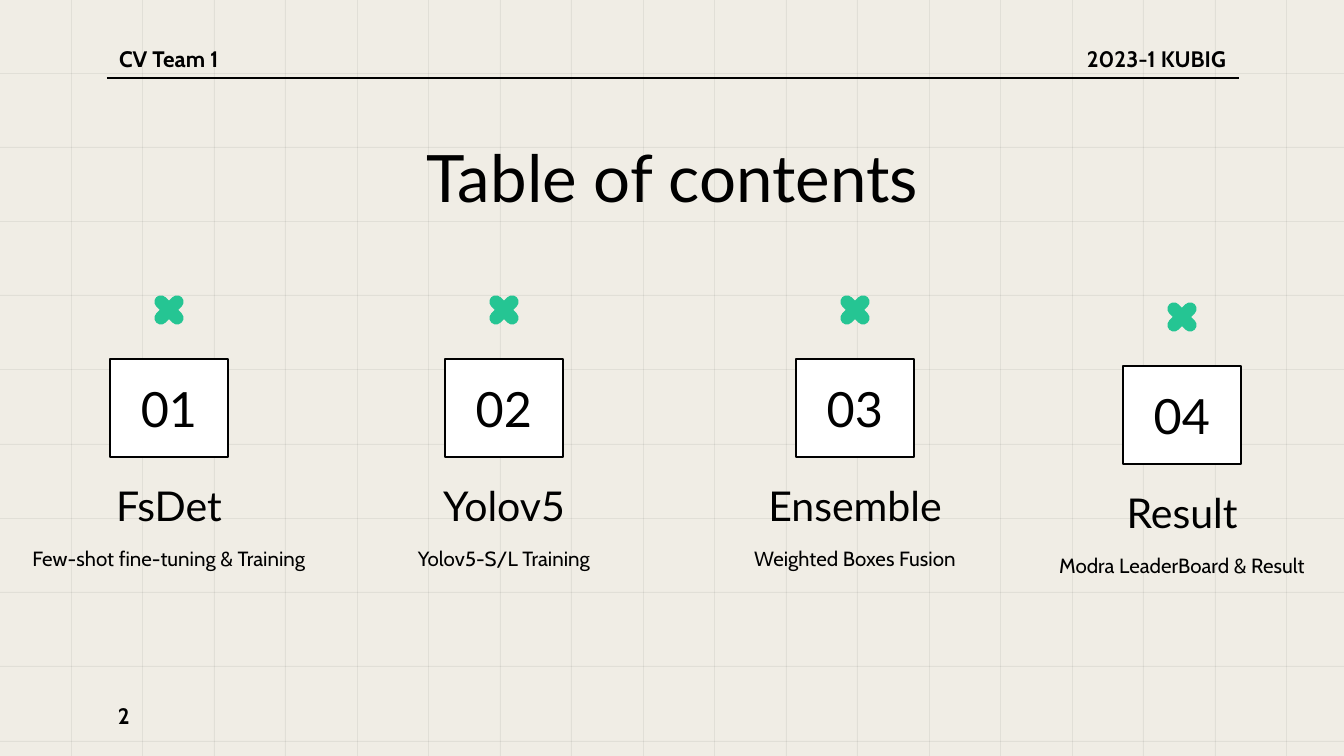
import pptx
import pptx.util
import pptx.dml.color
import pptx.enum.shapes
import pptx.enum.text
from lxml import etree

EMU_PER_PX = 9144000 / 1344
WIDTH, HEIGHT = 1344, 756
INSET = 13

BLACK = pptx.dml.color.RGBColor(0x00, 0x00, 0x00)
WHITE = pptx.dml.color.RGBColor(0xFF, 0xFF, 0xFF)
PAPER = pptx.dml.color.RGBColor(0xF0, 0xED, 0xE5)
GREEN = pptx.dml.color.RGBColor(0x25, 0xC5, 0x93)

RECTANGLE = pptx.enum.shapes.MSO_SHAPE.RECTANGLE
ROUNDED = pptx.enum.shapes.MSO_SHAPE.ROUNDED_RECTANGLE
ANCHOR = pptx.enum.text.MSO_ANCHOR
ALIGN = pptx.enum.text.PP_ALIGN

SECTIONS = [
    (169, 0, "01", "FsDet", "Few-shot fine-tuning & Training"),
    (504, 0, "02", "Yolov5", "Yolov5-S/L Training"),
    (855, 0, "03", "Ensemble", "Weighted Boxes Fusion"),
    (1182, 7, "04", "Result", "Modra LeaderBoard & Result"),
]


def px(length):
    return pptx.util.Emu(round(length * EMU_PER_PX))


def write(shape, text, font="Lato", size=12, bold=False,
          align=ALIGN.CENTER, anchor=ANCHOR.TOP):
    frame = shape.text_frame
    frame.word_wrap = True
    frame.vertical_anchor = anchor
    frame.margin_left = frame.margin_right = px(INSET)
    frame.margin_top = frame.margin_bottom = px(INSET)
    paragraph = frame.paragraphs[0]
    paragraph.alignment = align
    run = paragraph.add_run()
    run.text = text
    run.font.name = font
    run.font.size = pptx.util.Pt(size)
    run.font.bold = bold
    run.font.color.rgb = BLACK


def add_text(slide, left, top, width, height, text, **text_format):
    box = slide.shapes.add_textbox(px(left), px(top), px(width), px(height))
    write(box, text, **text_format)


def add_filled(slide, kind, left, top, width, height, color):
    shape = slide.shapes.add_shape(kind, px(left), px(top), px(width), px(height))
    shape.shadow.inherit = False
    shape.fill.solid()
    shape.fill.fore_color.rgb = color
    shape.line.fill.background()
    return shape


def add_grid_line(slide, left, top, width, height):
    line = add_filled(slide, RECTANGLE, left, top, width, height, BLACK)
    color = line.fill._xPr.find(".//" + pptx.oxml.ns.qn("a:srgbClr"))
    etree.SubElement(color, pptx.oxml.ns.qn("a:alpha"), val="6000")


def add_grid(slide):
    for column in range(18):
        add_grid_line(slide, 71 + column * 143 // 2, -7, 1, 770)
    for row in range(10):
        add_grid_line(slide, -13, 73 + row * 668 // 9, 1370, 1)


def add_header_rule(slide):
    rule = slide.shapes.add_connector(
        pptx.enum.shapes.MSO_CONNECTOR.STRAIGHT, px(107), px(78), px(1239), px(78))
    rule.line.color.rgb = BLACK
    rule.line.width = pptx.util.Pt(0.75)
    etree.SubElement(rule._element.spPr, pptx.oxml.ns.qn("a:effectLst"))


def add_cross(slide, center, middle):
    for width, height in ((13, 36), (36, 13)):
        bar = add_filled(slide, ROUNDED, center - width / 2, middle - height / 2,
                         width, height, GREEN)
        bar.adjustments[0] = 0.5
        bar.rotation = 45


def add_section(slide, center, drop, number, heading, description):
    add_cross(slide, center, 310 + drop)
    card = add_filled(slide, RECTANGLE, center - 59, 359 + drop, 118, 98, WHITE)
    card.line.color.rgb = BLACK
    card.line.width = pptx.util.Pt(0.75)
    write(card, number, size=26, anchor=ANCHOR.MIDDLE)
    add_text(slide, center - 172, 464 + drop, 344, 79, heading,
             size=22, anchor=ANCHOR.BOTTOM)
    add_text(slide, center - 172, 534 + drop, 344, 150, description,
             font="Cabin", size=11)


def main():
    deck = pptx.Presentation()
    deck.slide_width, deck.slide_height = px(WIDTH), px(HEIGHT)
    slide = deck.slides.add_slide(deck.slide_layouts[6])
    slide.background.fill.solid()
    slide.background.fill.fore_color.rgb = PAPER

    add_grid(slide)
    add_header_rule(slide)
    label = dict(font="Cabin", size=12, bold=True)
    add_text(slide, 106, 32, 310, 46, "CV Team 1", align=ALIGN.LEFT, **label)
    add_text(slide, 929, 32, 310, 46, "2023-1 KUBIG", align=ALIGN.RIGHT, **label)
    add_text(slide, 106, 124, 1133, 85, "Table of contents", size=35)
    for section in SECTIONS:
        add_section(slide, *section)
    add_text(slide, 105, 687, 81, 58, "2", align=ALIGN.LEFT,
             anchor=ANCHOR.MIDDLE, **label)
    deck.save("out.pptx")


if __name__ == "__main__":
    main()
